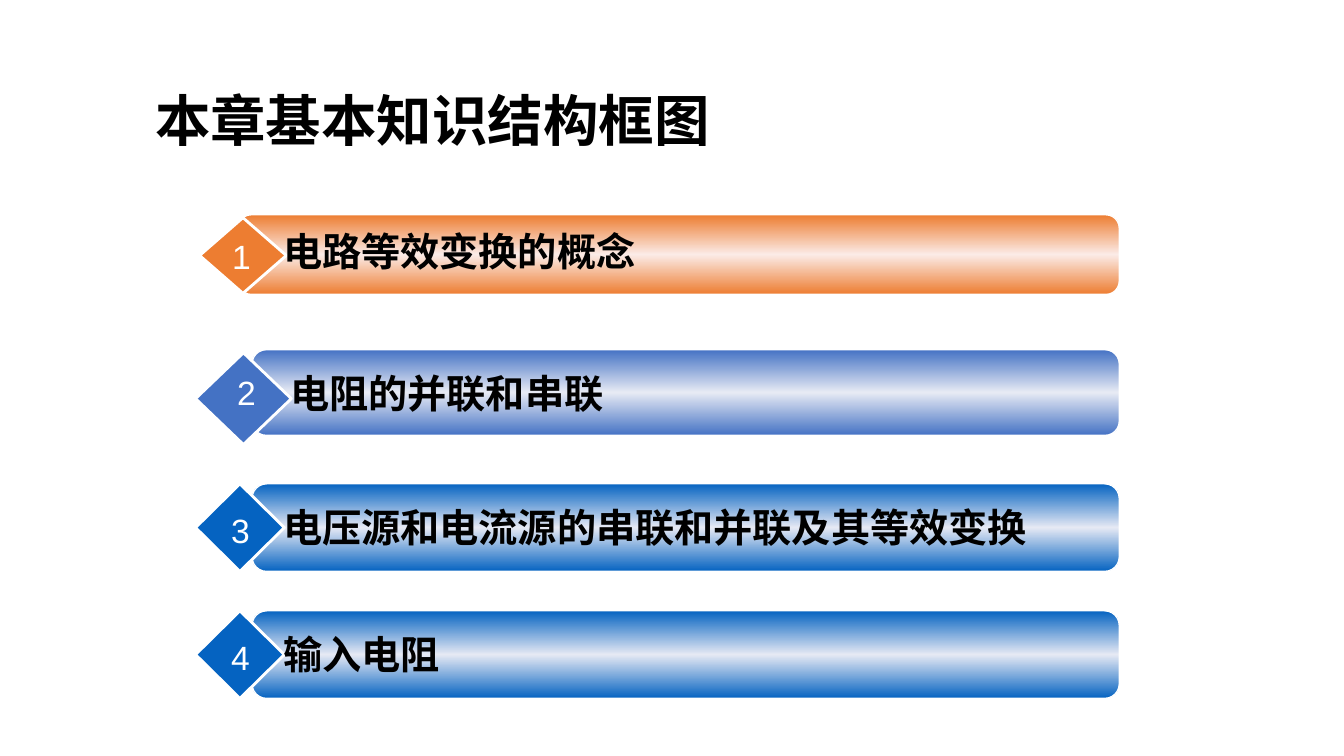
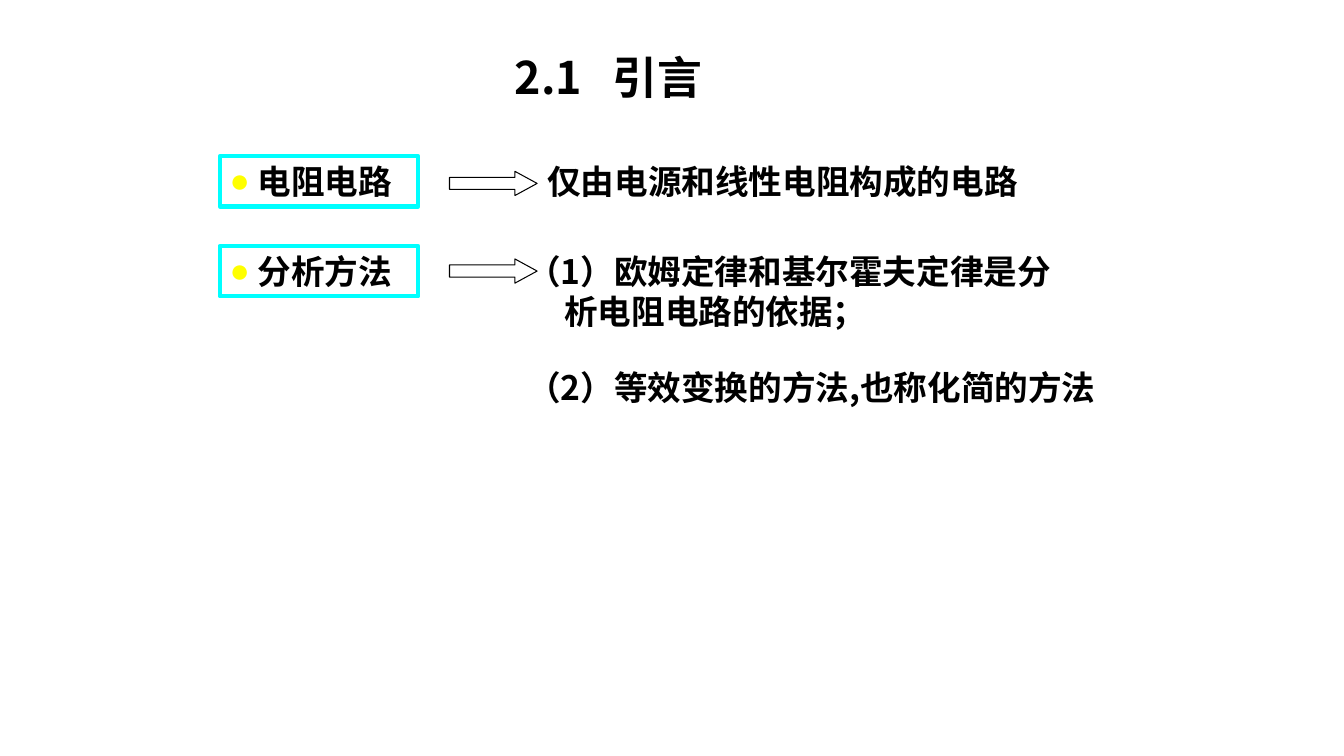
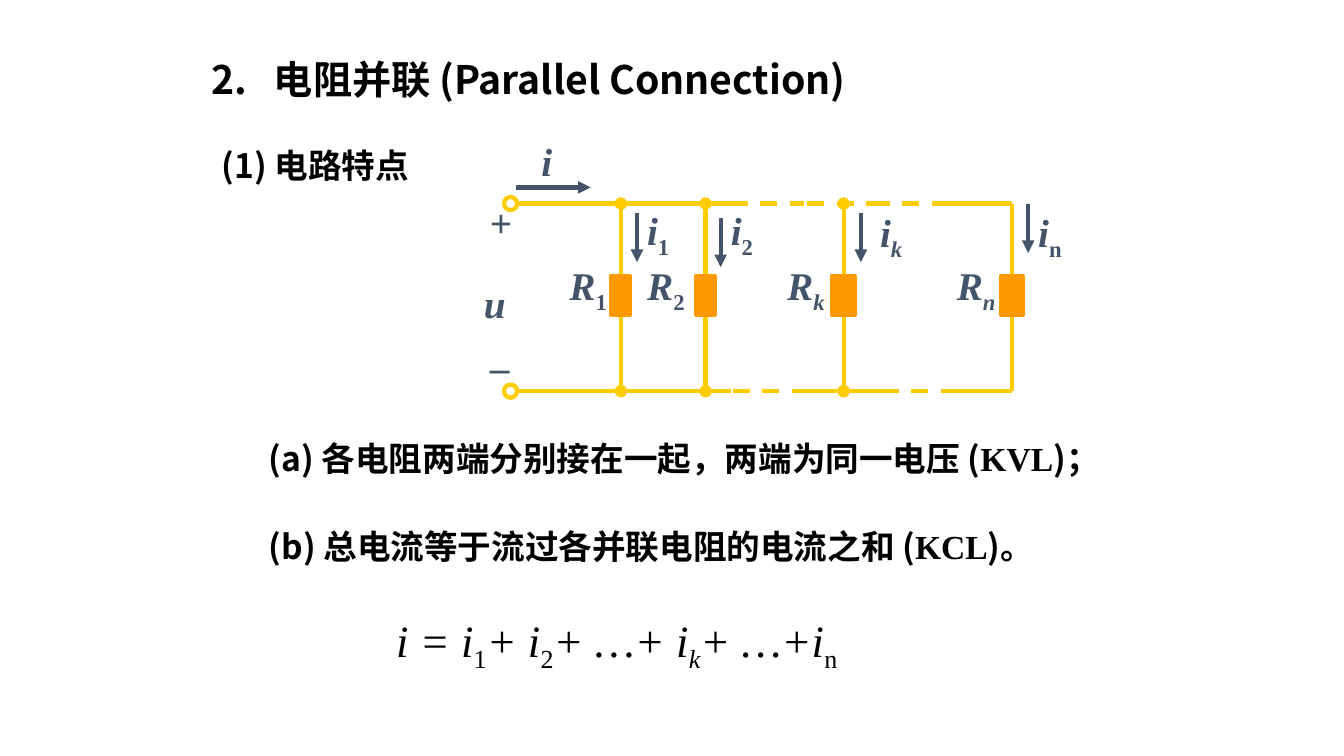
import dataclasses

import lxml.etree
import copy
import pptx
import pptx.dml.color
import pptx.enum.dml
import pptx.enum.shapes
import pptx.enum.text
import pptx.oxml.ns
import pptx.util

Pt = pptx.util.Pt
qn = pptx.oxml.ns.qn
Shapes = pptx.enum.shapes.MSO_SHAPE
Align = pptx.enum.text.PP_ALIGN
Anchor = pptx.enum.text.MSO_ANCHOR


@dataclasses.dataclass(frozen=True)
class Theme:
    """Colours, fonts and type sizes of the deck."""

    black: str = "000000"
    white: str = "FFFFFF"
    orange: str = "ED7D31"
    orange_light: str = "FBEBE7"
    blue: str = "4472C4"
    blue_light: str = "E7EAF4"
    deep_blue: str = "0563C1"
    deep_blue_light: str = "E6E9F4"
    cyan: str = "00FFFF"
    yellow: str = "FFFF00"
    wire: str = "FFCC00"
    resistor: str = "FF9900"
    slate: str = "44546A"
    sans: str = "Arial"
    chinese: str = "Noto Sans CJK SC"
    roman: str = "Times New Roman"
    chapter: float = 39.6
    section: float = 32
    heading: float = 28
    body: float = 24


THEME = Theme()


@dataclasses.dataclass(frozen=True)
class Branch:
    """One resistor branch of the parallel circuit."""

    name: str
    x: float
    label_x: float
    width: float
    arrow_x: float
    arrow_top: float
    current_x: float
    current_top: float
    name_style: str = "is"
    current_style: str = "s"
    dots: bool = True


BRANCHES = [
    Branch("1", 443.5, 420.1, 14.4, 455, 151.9, 462.2, 144, "s"),
    Branch("2", 504, 475.6, 14.4, 514.8, 155.5, 522, 144, "s"),
    Branch("k", 602.6, 575.6, 16.6, 614.9, 151.9, 628.6, 145.4, current_style="is"),
    Branch("n", 722.9, 697.3, 16.6, 734.4, 145.4, 741.6, 145.4, dots=False),
]
TOP_RAIL, BOTTOM_RAIL = 145.4, 279.4
WIRES = {
    TOP_RAIL: [(368.6, 522, False), (522, 574.6, True), (576.7, 630, True),
               (623.5, 676.8, True), (676.8, 722.9, False)],
    BOTTOM_RAIL: [(368.6, 522, False), (523.4, 576.7, True), (576.7, 630, False),
                  (630, 683.3, True), (676.8, 722.9, False)],
}


def rgb(code):
    """Return a colour object for a hex code."""
    return pptx.dml.color.RGBColor.from_string(code)


def add_child(parent, tag, **attributes):
    """Append a DrawingML element and return it."""
    return lxml.etree.SubElement(parent, qn(tag), attributes)


def write(frame, spans, font=THEME.chinese, size=THEME.body, color=THEME.black,
          bold=True, align=Align.LEFT, indent=0, tab=None, bullet=None):
    """Write a paragraph of (text, style) spans; i italic, s subscript, r roman."""
    para = frame.paragraphs[0]
    if para.runs:
        para = frame.add_paragraph()
    para.alignment = align
    props = para._p.get_or_add_pPr()
    if indent:
        props.set("marL", str(Pt(indent)))
    if bullet:
        props.set("indent", str(-Pt(indent)))
        add_child(add_child(props, "a:buClr"), "a:srgbClr", val=bullet)
        add_child(props, "a:buFont", typeface=font)
        add_child(props, "a:buChar", char="●")
    if tab:
        add_child(add_child(props, "a:tabLst"), "a:tab", pos=str(Pt(tab)), algn="l")
    for text, style in spans:
        span = para.add_run()
        span.text = text
        span.font.name = THEME.roman if "r" in style else font
        span.font.size = Pt(size)
        span.font.bold = bold
        span.font.italic = "i" in style
        span.font.color.rgb = rgb(color)
        run_props = span._r.get_or_add_rPr()
        run_props.set("lang", "zh-CN")
        add_child(run_props, "a:ea", typeface=THEME.chinese)
        if "s" in style:
            run_props.set("baseline", "-25000")
    return para


def add_text(page, left, top, width, height, spans, **style):
    """Add a wrapped text box with one paragraph and return its frame."""
    box = page.shapes.add_textbox(Pt(left), Pt(top), Pt(width), Pt(height))
    frame = box.text_frame
    frame.word_wrap = True
    write(frame, spans, **style)
    return frame


def add_label(page, x, y, spans, **style):
    """Add a short label centred on a point."""
    width, height = 60, 41
    frame = add_text(page, x - width / 2, y - height / 2, width, height, spans,
                     align=Align.CENTER, **style)
    frame.margin_left = frame.margin_right = 0
    frame.margin_top = frame.margin_bottom = 0
    frame.vertical_anchor = Anchor.MIDDLE


def add_figure(page, kind, left, top, width, height, line, weight, fill=None):
    """Add a preset shape without shadow."""
    figure = page.shapes.add_shape(kind, Pt(left), Pt(top), Pt(width), Pt(height))
    figure.shadow.inherit = False
    if fill:
        figure.fill.solid()
        figure.fill.fore_color.rgb = rgb(fill)
    else:
        figure.fill.background()
    figure.line.color.rgb = rgb(line)
    figure.line.width = Pt(weight)
    return figure


def add_line(page, start, end, color, dashed=False, head=None, tail=None):
    """Add a straight line with optional dash and end marks."""
    line = page.shapes.add_connector(
        pptx.enum.shapes.MSO_CONNECTOR.STRAIGHT, *[Pt(v) for v in (*start, *end)])
    line.line.color.rgb = rgb(color)
    line.line.width = Pt(3)
    if dashed:
        line.line.dash_style = pptx.enum.dml.MSO_LINE.DASH
    outline = line.line._get_or_add_ln()
    for tag, mark in (("a:headEnd", head), ("a:tailEnd", tail)):
        if mark:
            add_child(outline, tag, type=mark)
    add_child(line._element.spPr, "a:effectLst")


def add_bar(page, left, top, width, height, edge, middle):
    """Add a rounded bar with a vertical gradient that is light in the middle."""
    bar = add_figure(page, Shapes.ROUNDED_RECTANGLE, left, top, width, height,
                     THEME.white, 1)
    bar.fill.gradient()
    bar.fill.gradient_angle = 270
    stops = bar._element.spPr.find(".//" + qn("a:gsLst"))
    stops.append(copy.deepcopy(stops[0]))
    colors = (edge, middle, edge)
    for stop, position, color in zip(bar.fill.gradient_stops, (0, 0.5, 1), colors):
        stop.position = position
        stop.color.rgb = rgb(color)


def build_outline(page):
    """Build the chapter outline."""
    frame = add_text(page, 103.7, 69.1, 606.2, 44.6, [("本章基本知识结构框图", "")],
                     size=THEME.chapter)
    frame.vertical_anchor = Anchor.MIDDLE
    frame.paragraphs[0].line_spacing = 0.7
    deep = (THEME.deep_blue, THEME.deep_blue_light)
    rows = [
        ("电路等效变换的概念", (THEME.orange, THEME.orange_light), (170, 153.4, 56.9),
         (142.6, 155.5, 61.9, 54), (172.4, 182.9), (195.1, 179.6)),
        ("电阻的并联和串联", (THEME.blue, THEME.blue_light), (180, 249.8, 61.2),
         (139.7, 252, 68.4, 65.5), (176, 280), (200.3, 280.4)),
        ("电压源和电流源的串联和并联及其等效变换", deep, (180, 345.6, 62.6),
         (139.7, 345.6, 63.4, 62.6), (171.7, 378.7), (195.1, 376.2)),
        ("输入电阻", deep, (180, 436.3, 62.6),
         (139.7, 436.3, 63.4, 62.6), (171.7, 469.4), (195.1, 466.9)),
    ]
    right = 799.5
    for number, row in enumerate(rows, 1):
        topic, (edge, middle), (left, top, height), diamond, digit, (text_x, text_y) = row
        add_bar(page, left, top, right - left, height, edge, middle)
        add_figure(page, Shapes.DIAMOND, *diamond, THEME.white, 2, edge)
        add_text(page, text_x, text_y - 20.5, right - text_x, 41, [(topic, "")],
                 font=THEME.sans, size=THEME.heading)
        add_label(page, *digit, [(str(number), "")], font=THEME.sans,
                  color=THEME.white, bold=False)


def build_introduction(page):
    """Build the introduction with two boxed terms."""
    add_text(page, 360.7, 31.7, 232.6, 45.4, [("2.1\t引言", "")],
             size=THEME.section, tab=70)
    for term, top, arrow_top in (("电阻电路", 111.6, 122.4), ("分析方法", 175.7, 185)):
        term_box = add_figure(page, Shapes.RECTANGLE, 157, top, 141.8, 36,
                              THEME.cyan, 3)
        term_box.text_frame.word_wrap = True
        term_box.text_frame.vertical_anchor = Anchor.TOP
        write(term_box.text_frame, [(term, "")], font=THEME.sans, indent=20,
              bullet=THEME.yellow)
        arrow = add_figure(page, Shapes.RIGHT_ARROW, 321.1, arrow_top, 62.6, 17.3,
                           THEME.black, 0.75, THEME.white)
        arrow.adjustments[1] = 0.917
    add_text(page, 383.8, 111.6, 374.4, 36, [("仅由电源和线性电阻构成的电路", "")])
    frame = add_text(page, 369.4, 175.7, 402.5, 65.5,
                     [("（1）欧姆定律和基尔霍夫定律是分", "")])
    write(frame, [("析电阻电路的依据；", "")], indent=26.5)
    add_text(page, 369.4, 258.5, 442, 36, [("（2）等效变换的方法,也称化简的方法", "")])


def build_circuit(page):
    """Draw the parallel circuit."""
    symbol = dict(font=THEME.roman, size=THEME.heading, color=THEME.slate)
    for y, wires in WIRES.items():
        for start, end, dashed in wires:
            add_line(page, (start, y), (end, y), THEME.wire, dashed)
        add_figure(page, Shapes.OVAL, 360, y - 4.7, 9.4, 9.4, THEME.wire, 3)
    for branch in BRANCHES:
        mark = "oval" if branch.dots else None
        add_line(page, (branch.x, BOTTOM_RAIL), (branch.x, TOP_RAIL), THEME.wire,
                 head=mark, tail=mark)
        add_figure(page, Shapes.RECTANGLE, branch.x - branch.width / 2, 196.6,
                   branch.width, 28.8, THEME.resistor, 2.25, THEME.resistor)
        add_label(page, branch.label_x, 205.6,
                  [("R", "i"), (branch.name, branch.name_style)], **symbol)
        add_line(page, (branch.arrow_x, branch.arrow_top),
                 (branch.arrow_x, branch.arrow_top + 35.3), THEME.slate,
                 tail="triangle")
        frame = add_text(page, branch.current_x, branch.current_top, 44.6, 41,
                         [("i", "i"), (branch.name, branch.current_style)], **symbol)
        frame.margin_left = 0
    add_line(page, (368.6, 133.9), (421.9, 133.9), THEME.slate, tail="triangle")
    for text, style, x, y in (("i", "i", 390.6, 114.8), ("+", "", 357.8, 158.8),
                              ("u", "i", 353.5, 216.4), ("_", "", 356.9, 252.4)):
        add_label(page, x, y, [(text, style)], **symbol)


def build_parallel(page):
    """Build the page on parallel resistors."""
    add_text(page, 144, 36, 516.2, 41, [("2.\t电阻并联 (Parallel Connection)", "")],
             size=THEME.heading, tab=44.6)
    build_circuit(page)
    add_text(page, 151.2, 100.1, 186.5, 36, [("(1) 电路特点", "")])
    points = [("(a) 各电阻两端分别接在一起，两端为同一电压 (", "KVL", ")；", 309.6),
              ("(b) 总电流等于流过各并联电阻的电流之和 (", "KCL", ")。", 372.2)]
    for before, law, after, top in points:
        add_text(page, 185, top, 655.2, 36, [(before, ""), (law, "r"), (after, "")])
    formula = [("i = i", "i"), ("1", "s"), ("+ i", "i"), ("2", "s"), ("+ …+ i", "i"),
               ("k", "is"), ("+ …+i", "i"), ("n", "s")]
    add_text(page, 275.8, 434.2, 391, 45.4, formula, font=THEME.roman,
             size=THEME.section, bold=False)


def main():
    """Build and save the deck."""
    deck = pptx.Presentation()
    deck.slide_width, deck.slide_height = Pt(960), Pt(540)
    for build in (build_outline, build_introduction, build_parallel):
        build(deck.slides.add_slide(deck.slide_layouts[6]))
    deck.save("out.pptx")


if __name__ == "__main__":
    main()
